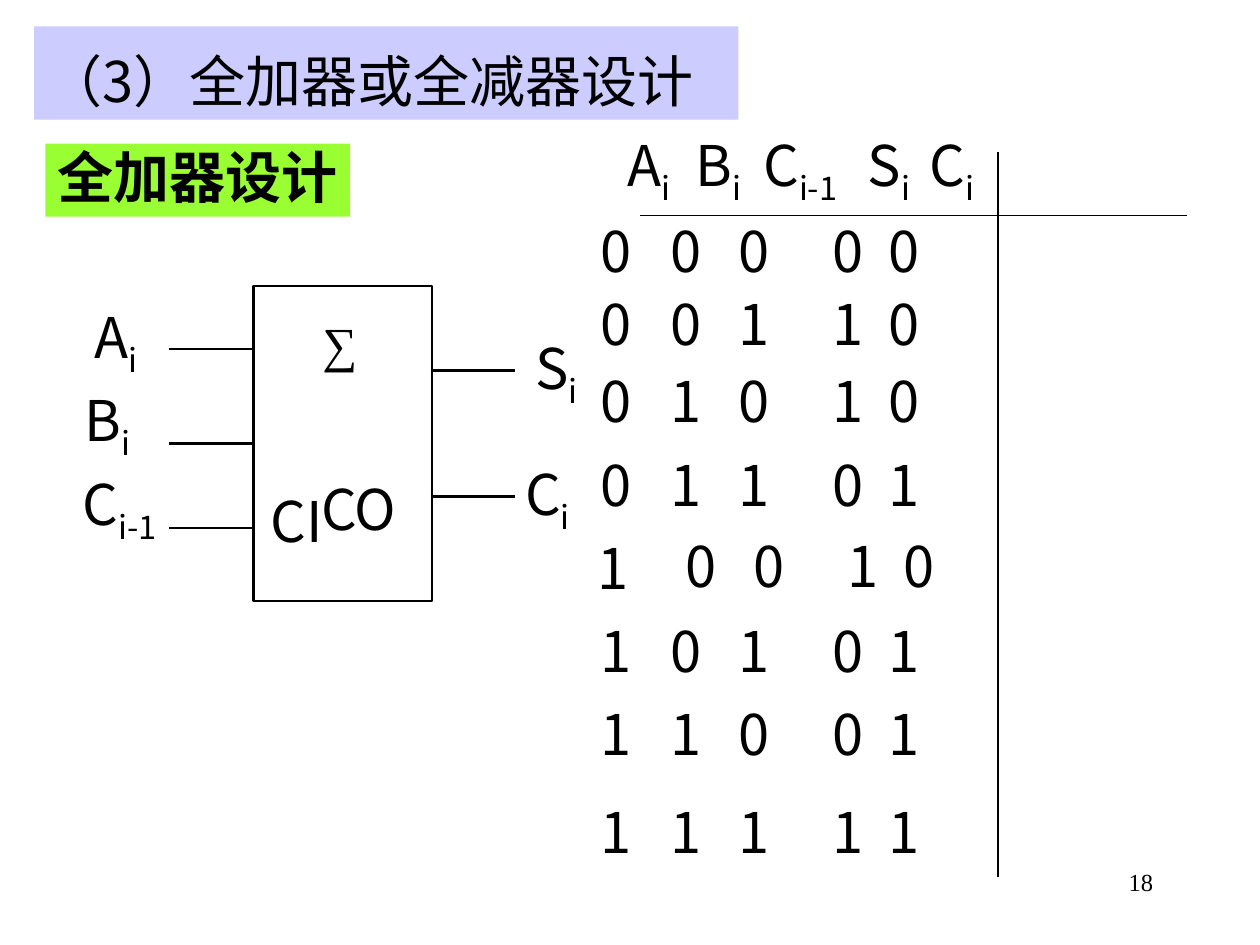
from typing import NamedTuple

from lxml.etree import SubElement
from pptx import Presentation
from pptx.dml.color import RGBColor
from pptx.enum.shapes import MSO_CONNECTOR, MSO_SHAPE
from pptx.enum.text import MSO_ANCHOR, MSO_AUTO_SIZE, PP_ALIGN
from pptx.oxml.ns import qn
from pptx.util import Inches, Pt

SANS = "Noto Sans CJK SC"
SERIF = "Times New Roman"
BLACK = "000000"


class Label(NamedTuple):
    left: float
    top: float
    width: float
    height: float
    text: str
    subscript: str = ""
    size: int = 32
    font: str = SANS


class Wire(NamedTuple):
    x1: float
    y1: float
    x2: float
    y2: float
    weight: float = 1.5


class TruthRow(NamedTuple):
    top: float
    bits: str


def color(value: str) -> RGBColor:
    return RGBColor.from_string(value)


def style_run(run, size: int = 32, font: str = SANS, bold: bool = False,
              subscript: bool = False) -> None:
    run.font.size = Pt(size)
    run.font.bold = bold
    run.font.color.rgb = color(BLACK)
    run.font.name = font
    properties = run._r.get_or_add_rPr()
    SubElement(properties, qn("a:ea")).set("typeface", font)
    if subscript:
        properties.set("baseline", "-25000")


def add_box(page, left: float, top: float, width: float, height: float,
            wrap: bool = True):
    box = page.shapes.add_textbox(Inches(left), Inches(top), Inches(width), Inches(height))
    box.text_frame.word_wrap = wrap
    return box


def add_symbol(para, text: str, subscript: str = "", size: int = 32,
               font: str = SANS) -> None:
    """Append a letter and, where given, its index."""
    for part, lowered in ((text, False), (subscript, True)):
        if part:
            run = para.add_run()
            run.text = part
            style_run(run, size, font, subscript=lowered)


def add_label(page, label: Label):
    box = add_box(page, label.left, label.top, label.width, label.height, wrap=False)
    para = box.text_frame.paragraphs[0]
    add_symbol(para, label.text, label.subscript, label.size, label.font)
    return para


def add_wire(page, wire: Wire):
    line = page.shapes.add_connector(
        MSO_CONNECTOR.STRAIGHT, Inches(wire.x1), Inches(wire.y1),
        Inches(wire.x2), Inches(wire.y2))
    line.line.color.rgb = color(BLACK)
    line.line.width = Pt(wire.weight)
    SubElement(line._element.spPr, qn("a:effectLst"))
    return line


def set_tabs(para, stops: list[float]) -> None:
    tabs = SubElement(para._p.get_or_add_pPr(), qn("a:tabLst"))
    for stop in stops:
        tab = SubElement(tabs, qn("a:tab"))
        tab.set("pos", str(Inches(stop)))
        tab.set("algn", "l")


def set_bullet(para, mark: str, indent: float) -> None:
    properties = para._p.get_or_add_pPr()
    properties.set("marL", str(Inches(indent)))
    properties.set("indent", str(-Inches(indent)))
    bullet_color = SubElement(properties, qn("a:buClr"))
    SubElement(bullet_color, qn("a:srgbClr")).set("val", BLACK)
    SubElement(properties, qn("a:buFont")).set("typeface", SANS)
    SubElement(properties, qn("a:buChar")).set("char", mark)


def style_band(shape, fill: str, spacing: float, anchor, bold: bool = False) -> None:
    """Format a one-line heading on a coloured band."""
    shape.fill.solid()
    shape.fill.fore_color.rgb = color(fill)
    frame = shape.text_frame
    frame.auto_size = MSO_AUTO_SIZE.NONE
    frame.vertical_anchor = anchor
    para = frame.paragraphs[0]
    para.alignment = PP_ALIGN.LEFT
    para.line_spacing = spacing
    para.space_before = Pt(0)
    style_run(para.runs[0], bold=bold)


def main() -> None:
    deck = Presentation()
    deck.slide_width, deck.slide_height = Inches(10), Inches(7.5)
    page = deck.slides.add_slide(deck.slide_layouts[5])

    # Headings
    title = page.shapes.title
    title.left, title.top = Inches(0.27), Inches(0.21)
    title.width, title.height = Inches(5.59), Inches(0.74)
    title.text_frame.text = "（3）全加器或全减器设计"
    style_band(title, "CCCCFF", 1.2, MSO_ANCHOR.MIDDLE)

    heading = add_box(page, 0.36, 1.14, 2.42, 0.58, wrap=False)
    heading.text_frame.text = "全加器设计"
    style_band(heading, "99FF33", 0.9, MSO_ANCHOR.TOP, bold=True)

    # Adder block with its input and output wires
    adder = page.shapes.add_shape(
        MSO_SHAPE.RECTANGLE, Inches(2.01), Inches(2.27), Inches(1.42), Inches(2.5))
    adder.shadow.inherit = False
    adder.fill.background()
    adder.line.color.rgb = color(BLACK)
    adder.line.width = Pt(1.5)

    for y in (2.77, 4.19):
        add_wire(page, Wire(2.01, y, 1.34, y))
    middle_input = add_wire(page, Wire(2.01, 3.52, 1.34, 3.52))
    middle_input.begin_connect(adder, 1)
    for y in (2.94, 3.94):
        add_wire(page, Wire(3.42, y, 4.09, y))

    # Signal names and block markings
    for label in (
        Label(0.65, 2.35, 0.62, 0.71, "A", "i"),
        Label(0.57, 3.01, 0.62, 0.71, "B", "i"),
        Label(0.56, 3.68, 0.93, 0.71, "C", "i-1"),
        Label(4.15, 2.6, 0.62, 0.71, "S", "i"),
        Label(4.07, 3.6, 0.62, 0.71, "C", "i"),
        Label(2.46, 2.44, 0.47, 0.57, "∑", size=28, font=SERIF),
        Label(2.05, 3.81, 0.73, 0.64, "CI"),
        Label(2.45, 3.72, 0.83, 0.64, "CO"),
    ):
        add_label(page, label)

    # Truth table: header and rules
    header = add_box(page, 4.88, 0.99, 4.78, 0.71).text_frame.paragraphs[0]
    set_tabs(header, [0.54, 1.08, 1.91, 2.4])
    columns = (("A", "i"), ("B", "i"), ("C", "i-1"), ("S", "i"), ("C", "i"))
    for index, (letter, subscript) in enumerate(columns):
        add_symbol(header, "\t" + letter if index else letter, subscript)
    add_wire(page, Wire(7.92, 1.21, 7.92, 6.96))
    add_wire(page, Wire(5.08, 1.71, 9.42, 1.71, 0.75))

    # Truth table: values
    for row in (
        TruthRow(1.67, "00000"), TruthRow(2.25, "00110"),
        TruthRow(2.86, "01010"), TruthRow(3.53, "01101"),
        TruthRow(4.84, "10101"), TruthRow(5.5, "11001"),
        TruthRow(6.28, "11111"),
    ):
        para = add_box(page, 4.67, row.top, 5.02, 0.64).text_frame.paragraphs[0]
        set_tabs(para, [0.55, 1.09, 1.84, 2.28])
        add_symbol(para, "\t".join(row.bits))

    # The row 1 0 0 carries its first value as a bullet
    para = add_box(page, 4.64, 4.17, 4.98, 0.64).text_frame.paragraphs[0]
    set_bullet(para, "1", 0.7)
    set_tabs(para, [1.24, 1.99, 2.43])
    add_symbol(para, "\t".join("0010"))

    # Page number
    number = add_label(page, Label(7.17, 6.83, 2.08, 0.5, "18", size=14, font=SERIF))
    number.alignment = PP_ALIGN.RIGHT
    page.shapes[-1].text_frame.word_wrap = True

    deck.save("out.pptx")


if __name__ == "__main__":
    main()
